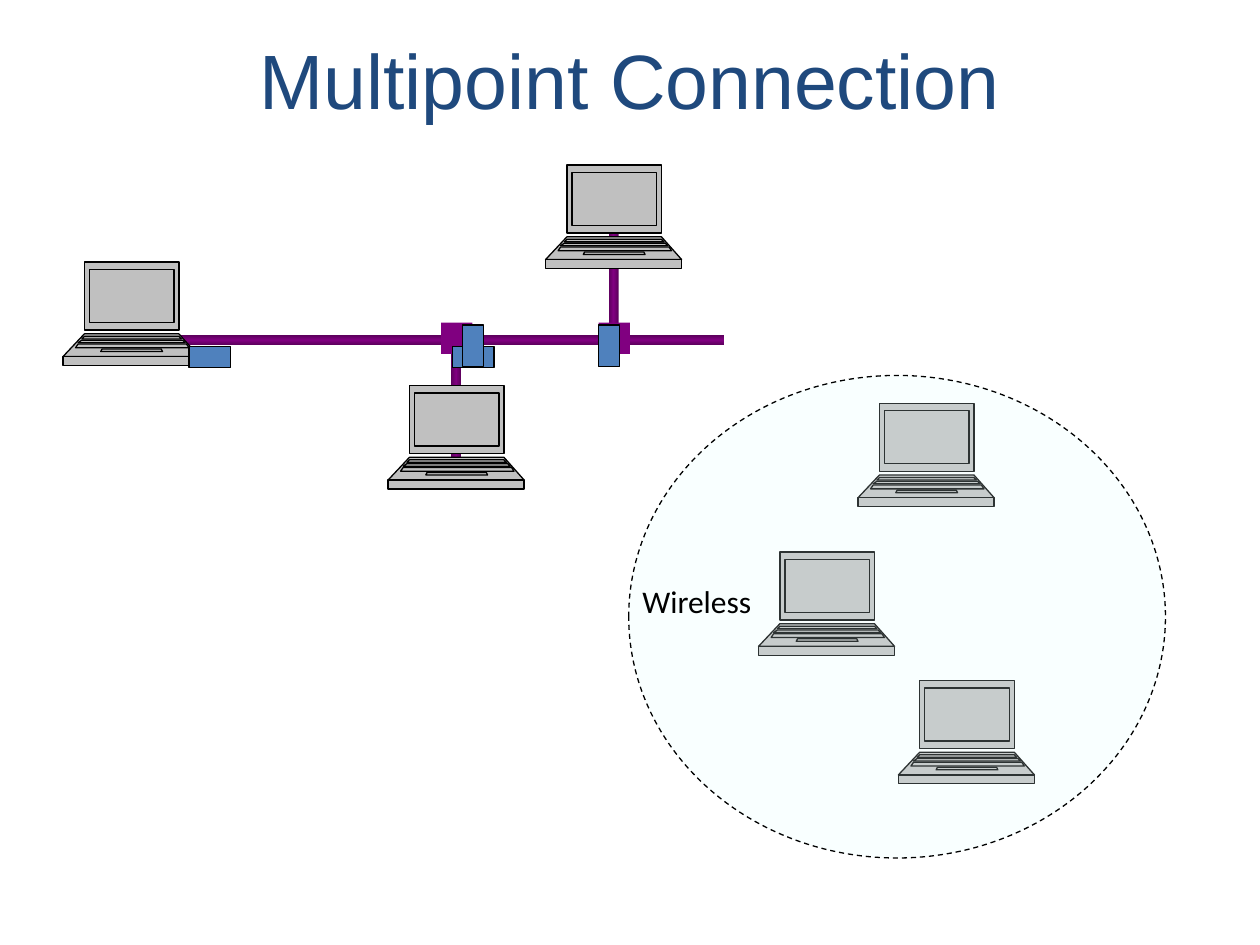
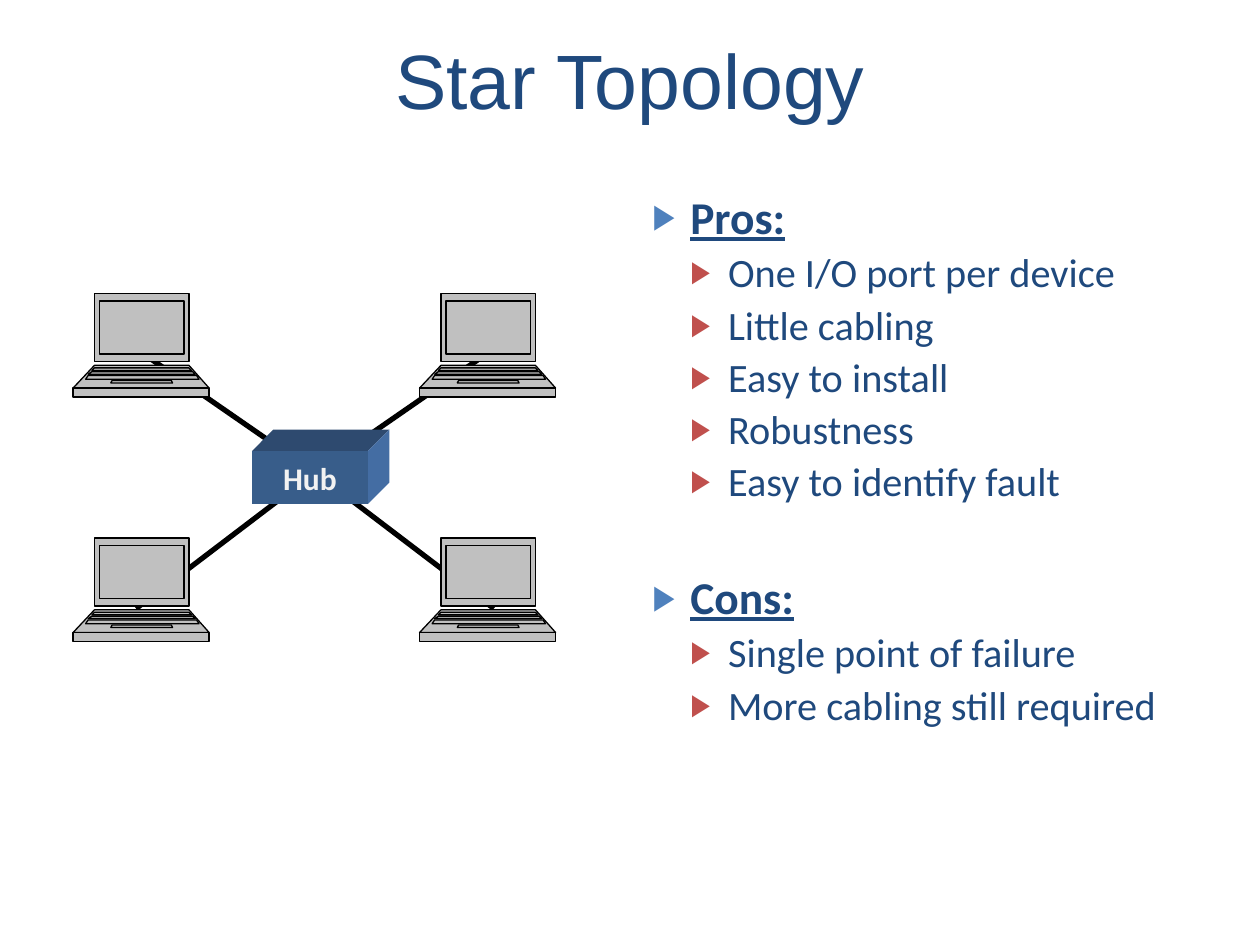
from copy import deepcopy

from lxml import etree
from pptx import Presentation
from pptx.dml.color import RGBColor
from pptx.enum.dml import MSO_LINE
from pptx.enum.shapes import MSO_CONNECTOR, MSO_SHAPE
from pptx.enum.text import MSO_ANCHOR, PP_ALIGN
from pptx.oxml.ns import qn
from pptx.util import Inches, Pt

RECTANGLE = MSO_SHAPE.RECTANGLE
ELLIPSE = MSO_SHAPE.OVAL
STRAIGHT = MSO_CONNECTOR.STRAIGHT
DASH = MSO_LINE.DASH
MIDDLE = MSO_ANCHOR.MIDDLE
CENTER = PP_ALIGN.CENTER

TITLE_FONT, BODY_FONT = "Arial", "Calibri"
BLACK, NAVY, BLUE, RED = "000000", "1F497D", "4F81BD", "C0504D"
GREY, PURPLE, DARK_PURPLE = "C0C0C0", "800080", "5C005C"
HUB_FRONT, HUB_TOP, HUB_SIDE = "385D8A", "2E4A6F", "446DA3"

# Laptop parts in hundredths of an inch:
# top, bottom, then left and right of the top edge and of the bottom edge
LAPTOP_PARTS = [
    (0, 54, 17, 92, 17, 92),     # lid
    (57, 75, 17, 92, 0, 108),    # keyboard
    (75, 82, 0, 108, 0, 108),    # front edge
    (6, 48, 21, 88, 21, 88),     # screen
    (59, 61, 17, 92, 15, 94),    # key rows
    (62, 64, 15, 95, 12, 97),
    (65, 68, 12, 98, 10, 100),
    (69, 71, 31, 78, 30, 79),    # touchpad
]


def rgb(value):
    return RGBColor.from_string(value)


def paint(shape, fill, line=None):
    shape.shadow.inherit = False
    shape.fill.solid()
    shape.fill.fore_color.rgb = rgb(fill)
    if line:
        shape.line.color.rgb = rgb(line)
        shape.line.width = Pt(0.75)
    else:
        shape.line.fill.background()


def add_block(shapes, left, top, width, height, fill, line=None, kind=RECTANGLE):
    block = shapes.add_shape(kind, Inches(left), Inches(top),
                             Inches(width), Inches(height))
    paint(block, fill, line)
    return block


def add_span(para, text, size, color, font=BODY_FONT, bold=False, underline=False):
    span = para.add_run()
    span.text = text
    span.font.name = font
    span.font.size = Pt(size)
    span.font.color.rgb = rgb(color)
    span.font.bold = bold
    span.font.underline = underline


def add_page(deck, title):
    page = deck.slides.add_slide(deck.slide_layouts[5])
    box = page.shapes.title
    box.left, box.top = Inches(0.5), Inches(0.17)
    box.width, box.height = Inches(9), Inches(0.91)
    box.text_frame.vertical_anchor = MIDDLE
    para = box.text_frame.paragraphs[0]
    para.alignment = CENTER
    add_span(para, title, 44, NAVY, TITLE_FONT)
    return page


def add_outline(shapes, left, top, contours):
    """Draw closed contours, given in hundredths of an inch, as one shape."""
    builder = shapes.build_freeform(*contours[0][0], scale=Inches(0.01))
    builder.add_line_segments(contours[0][1:], close=True)
    for contour in contours[1:]:
        builder.move_to(*contour[0])
        builder.add_line_segments(contour[1:], close=True)
    return builder.convert_to_shape(Inches(left), Inches(top))


def separate_contours(shape):
    """Give each contour its own path so that overlapping parts stay filled."""
    outline = shape.element.spPr.find(".//" + qn("a:path"))
    holder = outline.getparent()
    current = outline
    for step in list(outline)[1:]:
        if step.tag == qn("a:moveTo"):
            current = etree.SubElement(holder, qn("a:path"), dict(outline.attrib))
        current.append(step)


def add_laptop(shapes, left, top):
    contours = [
        [(top_left, upper), (bottom_left, lower), (bottom_right, lower), (top_right, upper)]
        for upper, lower, top_left, top_right, bottom_left, bottom_right in LAPTOP_PARTS
    ]
    laptop = add_outline(shapes, left, top, contours)
    separate_contours(laptop)
    paint(laptop, GREY, BLACK)


def add_pipe(shapes, left, top, width, height, angle):
    pipe = add_block(shapes, left, top, width, height, PURPLE)
    pipe.fill.gradient()
    pipe.fill.gradient_angle = angle
    for stop in pipe.fill.gradient_stops:
        stop.color.rgb = rgb(DARK_PURPLE)
    stops = pipe.element.spPr.find(".//" + qn("a:gsLst"))
    middle = deepcopy(stops[0])
    middle.set("pos", "50000")
    middle[0].set("val", PURPLE)
    stops.insert(1, middle)


def add_bus(page, left, top):
    """Shared cable with its taps, three laptops and four terminals."""
    bus = page.shapes.add_group_shape().shapes
    add_pipe(bus, left + 0.5, top + 1.35, 4.75, 0.08, 90)
    for tap_left, drop_top in ((3, 1.42), (4.25, 0.42)):
        add_pipe(bus, left + tap_left + 0.08, top + drop_top, 0.08, 0.92, 0)
        add_block(bus, left + tap_left, top + 1.25, 0.25, 0.25, PURPLE)
    for laptop_left, laptop_top in ((0, 0.77), (2.58, 1.75), (3.83, 0)):
        add_laptop(bus, left + laptop_left, top + laptop_top)
    for end_left, end_top, rotation in ((1.08, 1.36, 90), (3.17, 1.36, 90),
                                        (3.17, 1.27, 0), (4.25, 1.27, 0)):
        terminal = add_block(page.shapes, left + end_left, top + end_top,
                             0.17, 0.33, BLUE, BLACK)
        terminal.rotation = rotation


def add_wireless_cell(page, left, top, width, height):
    for laptop_left, laptop_top in ((1.03, 1.4), (1.82, 0.22), (2.14, 2.42)):
        add_laptop(page.shapes, left + laptop_left, top + laptop_top)
    cell = add_block(page.shapes, left, top, width, height, "E5FFFF", BLACK, ELLIPSE)
    cell.line.dash_style = DASH
    tint = cell.element.spPr.find(qn("a:solidFill"))[0]
    etree.SubElement(tint, qn("a:alpha"), val="20000")
    label = page.shapes.add_textbox(Inches(left + 0.01), Inches(top + 1.59),
                                    Inches(1.57), Inches(0.4))
    label.text_frame.word_wrap = True
    add_span(label.text_frame.paragraphs[0], "Wireless", 18, BLACK)


def add_hub(page, left, top):
    """Box seen from the front, with its upper and right sides."""
    top_side = add_outline(page.shapes, left, top,
                           [[(0, 17), (17, 0), (109, 0), (92, 17)]])
    paint(top_side, HUB_TOP)
    right_side = add_outline(page.shapes, left, top,
                             [[(92, 17), (109, 0), (109, 42), (92, 59)]])
    paint(right_side, HUB_SIDE)
    front = add_block(page.shapes, left, top + 0.17, 0.92, 0.42, HUB_FRONT)
    front.text_frame.word_wrap = False
    front.text_frame.vertical_anchor = MIDDLE
    para = front.text_frame.paragraphs[0]
    para.alignment = CENTER
    add_span(para, "Hub", 18, "F2F2F2", bold=True)


def add_star(page, left, top):
    """Four laptops, each wired to the hub in the middle."""
    cables = page.shapes.add_group_shape().shapes
    for end_x, end_y in ((0.59, 0.5), (3.25, 0.5), (0.5, 2.5), (3.34, 2.5)):
        cable = cables.add_connector(STRAIGHT, Inches(left + 1.92), Inches(top + 1.42),
                                     Inches(left + end_x), Inches(top + end_y))
        cable.line.color.rgb = rgb(BLACK)
        cable.line.width = Pt(3)
        etree.SubElement(cable.element.spPr, qn("a:effectLst"))
    for row in range(2):
        for column in range(2):
            add_laptop(page.shapes, left + column * 2.75, top + row * 1.94)
    add_hub(page, left + 1.42, top + 1.08)


def add_bullet(para, color, indent):
    properties = para._p.get_or_add_pPr()
    properties.set("marL", str(Inches(indent)))
    properties.set("indent", str(Inches(-0.3)))
    tint = etree.SubElement(properties, qn("a:buClr"))
    etree.SubElement(tint, qn("a:srgbClr"), val=color)
    etree.SubElement(properties, qn("a:buSzPct"), val="76000")
    etree.SubElement(properties, qn("a:buFont"), typeface=TITLE_FONT)
    etree.SubElement(properties, qn("a:buChar"), char="▶")


def add_arguments(page, left, top, width, height, groups):
    box = page.shapes.add_textbox(Inches(left), Inches(top), Inches(width), Inches(height))
    frame = box.text_frame
    frame.word_wrap = True
    for number, (heading, points) in enumerate(groups):
        para = frame.add_paragraph() if number else frame.paragraphs[0]
        add_bullet(para, BLUE, 0.3)
        para.line_spacing = 0.9
        para.space_before = Pt(40 if number else 0)
        add_span(para, heading, 26, NAVY, bold=True, underline=True)
        for point in points:
            para = frame.add_paragraph()
            para.level = 1
            add_bullet(para, RED, 0.6)
            para.line_spacing = 0.9
            para.space_before = Pt(5)
            add_span(para, point, 23, NAVY)


def main():
    deck = Presentation()
    deck.slide_width, deck.slide_height = Inches(10), Inches(7.5)

    # Multipoint connection
    page = add_page(deck, "Multipoint Connection")
    add_bus(page, 0.5, 1.31)
    add_wireless_cell(page, 4.99, 2.98, 4.26, 3.83)

    # Star topology
    page = add_page(deck, "Star Topology")
    add_star(page, 0.58, 2.33)
    add_arguments(page, 5.08, 1.5, 4.42, 5.42, [
        ("Pros:", ["One I/O port per device", "Little cabling", "Easy to install",
                   "Robustness", "Easy to identify fault"]),
        ("Cons:", ["Single point of failure", "More cabling still required"]),
    ])

    deck.save("out.pptx")


if __name__ == "__main__":
    main()
